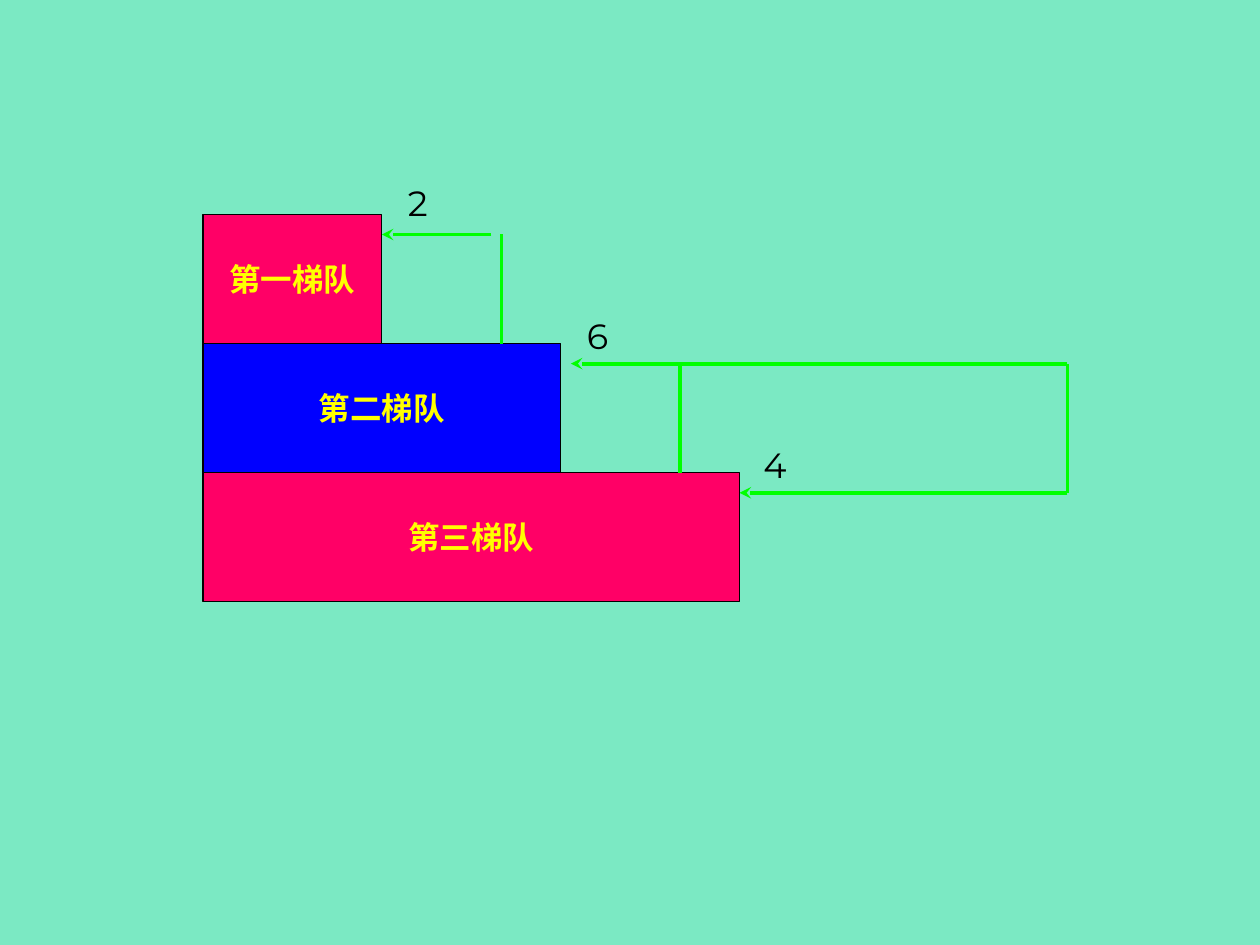
from dataclasses import dataclass

from lxml.etree import SubElement
from pptx import Presentation
from pptx.dml.color import RGBColor
from pptx.enum.shapes import MSO_CONNECTOR, MSO_SHAPE
from pptx.enum.text import MSO_ANCHOR, MSO_AUTO_SIZE, PP_ALIGN
from pptx.oxml import parse_xml
from pptx.oxml.ns import nsdecls, qn
from pptx.util import Pt


@dataclass(frozen=True)
class Theme:
    background: RGBColor = RGBColor(0x7B, 0xE9, 0xC3)
    pink: RGBColor = RGBColor(0xFF, 0x00, 0x66)
    blue: RGBColor = RGBColor(0x00, 0x00, 0xFF)
    green: RGBColor = RGBColor(0x00, 0xFF, 0x00)
    yellow: RGBColor = RGBColor(0xFF, 0xFF, 0x00)
    black: RGBColor = RGBColor(0x00, 0x00, 0x00)
    tier_font: str = "Arial"
    number_font: str = "Montserrat"
    tier_size: float = 18
    number_size: float = 20
    outline: float = 0.75
    stroke: float = 2.25


THEME = Theme()

# Staircase grid, in points
LEFT, TOP = 116, 122.5
STEP_WIDTH, STEP_HEIGHT = 102.2, 73.8
ARROW_DROP = 11.5
RISER_OFFSET = 68.4
LOOP_RIGHT = 610


def step_top(row):
    return TOP + row * STEP_HEIGHT


def step_right(row):
    return LEFT + (row + 1) * STEP_WIDTH


def arrow_level(row):
    return step_top(row) + ARROW_DROP


def style_font(font, name, size, color, bold=False):
    font.name = name
    font.size = Pt(size)
    font.bold = bold
    font.color.rgb = color


def add_step(page, row, label, fill):
    box = page.shapes.add_shape(
        MSO_SHAPE.RECTANGLE, Pt(LEFT), Pt(step_top(row)),
        Pt(step_right(row) - LEFT), Pt(STEP_HEIGHT))
    box.shadow.inherit = False
    box.fill.solid()
    box.fill.fore_color.rgb = fill
    box.line.color.rgb = THEME.black
    box.line.width = Pt(THEME.outline)
    frame = box.text_frame
    frame.word_wrap = False
    frame.vertical_anchor = MSO_ANCHOR.MIDDLE
    para = frame.paragraphs[0]
    para.text = label
    para.alignment = PP_ALIGN.CENTER
    style_font(para.font, THEME.tier_font, THEME.tier_size, THEME.yellow, True)


def add_line(page, start, end, arrow=False):
    line = page.shapes.add_connector(
        MSO_CONNECTOR.STRAIGHT, *(Pt(value) for value in (*start, *end)))
    line.line.color.rgb = THEME.green
    line.line.width = Pt(THEME.stroke)
    if arrow:
        SubElement(line.line._get_or_add_ln(), qn("a:tailEnd"), type="stealth")
    SubElement(line._element.spPr, qn("a:effectLst"))


def add_number(page, left, top, number):
    box = page.shapes.add_textbox(Pt(left), Pt(top), Pt(25.2), Pt(31.7))
    frame = box.text_frame
    frame.word_wrap = False
    frame.auto_size = MSO_AUTO_SIZE.SHAPE_TO_FIT_TEXT
    para = frame.paragraphs[0]
    span = para.add_run()
    span.text = number
    style_font(para.font, THEME.number_font, THEME.number_size, THEME.black)
    # Text shadow behind the digit
    span._r.get_or_add_rPr().append(parse_xml(
        f'<a:effectLst {nsdecls("a")}><a:outerShdw dist="17961" dir="2700000">'
        '<a:srgbClr val="000000"/></a:outerShdw></a:effectLst>'))


def main():
    deck = Presentation()
    deck.slide_width, deck.slide_height = Pt(720), Pt(540)
    page = deck.slides.add_slide(deck.slide_layouts[6])
    page.background.fill.solid()
    page.background.fill.fore_color.rgb = THEME.background
    first, second, third = (arrow_level(row) for row in range(3))

    # Third tier, with the loop on its right
    add_line(page, (LOOP_RIGHT, third), (LOOP_RIGHT, second))
    add_line(page, (LOOP_RIGHT, third), (479.5, third))
    add_line(page, (490.3, third), (step_right(2), third), arrow=True)
    add_step(page, 2, "第三梯队", THEME.pink)

    # Second tier
    riser = step_right(1) + RISER_OFFSET
    add_line(page, (LOOP_RIGHT, second), (383, second))
    add_line(page, (riser, step_top(2)), (riser, second))
    add_line(page, (riser, second), (326.2, second), arrow=True)
    add_step(page, 1, "第二梯队", THEME.blue)

    # First tier
    riser = step_right(0) + RISER_OFFSET
    add_line(page, (riser, step_top(1)), (riser, first))
    add_line(page, (280.8, first), (step_right(0), first), arrow=True)
    add_step(page, 0, "第一梯队", THEME.pink)

    # Numbers above the arrows
    for left, top, number in ((226, 100, "2"), (328.3, 176.4, "6"), (429.1, 249.8, "4")):
        add_number(page, left, top, number)

    deck.save("out.pptx")


if __name__ == "__main__":
    main()
